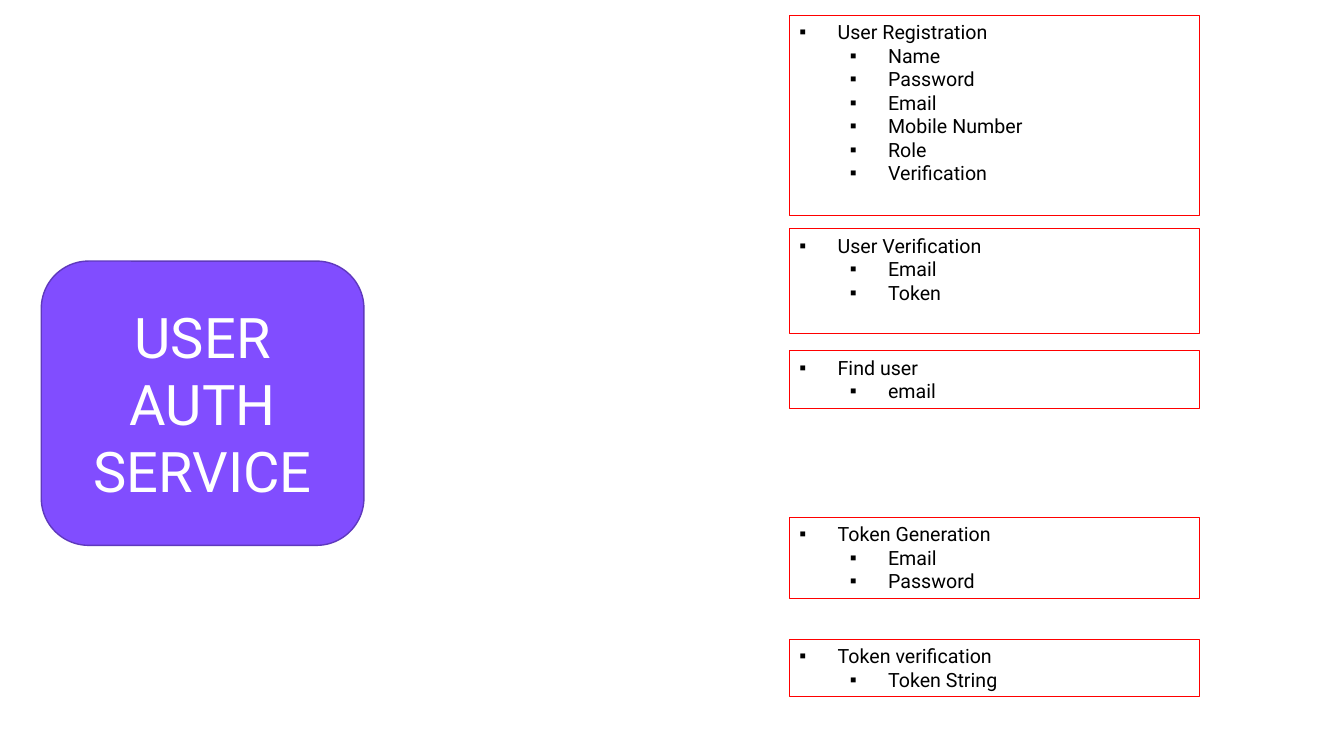
from dataclasses import dataclass

from lxml.etree import SubElement
from pptx import Presentation
from pptx.dml.color import RGBColor
from pptx.enum.shapes import MSO_SHAPE
from pptx.enum.text import MSO_ANCHOR, MSO_AUTO_SIZE, PP_ALIGN
from pptx.oxml.ns import qn
from pptx.util import Inches, Pt

SERVICE = "USER AUTH SERVICE"
OPERATIONS = [
    (0.15, 1.99, "User Registration",
     ["Name", "Password", "Email", "Mobile Number", "Role", "Verification"]),
    (2.27, 1.04, "User Verification", ["Email", "Token"]),
    (3.48, 0.57, "Find user", ["email"]),
    (5.13, 0.81, "Token Generation", ["Email", "Password"]),
    (6.34, 0.57, "Token verification", ["Token String"]),
]
OPERATION_LEFT, OPERATION_WIDTH = 7.83, 4.07
FIRST_INDENT, LEVEL_STEP = 0.38, 0.5


@dataclass(frozen=True)
class Theme:
    font: str = "Roboto"
    service_size: float = 40
    list_size: float = 14
    service_fill: RGBColor = RGBColor(0x81, 0x4D, 0xFF)
    service_line: RGBColor = RGBColor(0x5F, 0x39, 0xBD)
    service_text: RGBColor = RGBColor(0xFF, 0xFF, 0xFF)
    list_line: RGBColor = RGBColor(0xFF, 0x00, 0x00)
    list_text: RGBColor = RGBColor(0x00, 0x00, 0x00)


THEME = Theme()


def add_span(para, text, size, color):
    span = para.add_run()
    span.text = text
    span.font.name = THEME.font
    span.font.size = Pt(size)
    span.font.color.rgb = color


def add_bullet(para, level):
    para.level = level
    properties = para._p.get_or_add_pPr()
    properties.set("marL", str(Inches(FIRST_INDENT + level * LEVEL_STEP)))
    properties.set("indent", str(Inches(-FIRST_INDENT)))
    SubElement(properties, qn("a:buFont"), typeface="Arial")
    SubElement(properties, qn("a:buChar"), char="▪")


def add_box(page, preset, left, top, width, height, line, weight):
    box = page.shapes.add_shape(
        preset, Inches(left), Inches(top), Inches(width), Inches(height))
    box.shadow.inherit = False
    box.line.color.rgb = line
    box.line.width = Pt(weight)
    box.text_frame.word_wrap = True
    box.text_frame.auto_size = MSO_AUTO_SIZE.NONE
    return box


def add_service(page):
    box = add_box(page, MSO_SHAPE.ROUNDED_RECTANGLE, 0.41, 2.59, 3.2, 2.82,
                  THEME.service_line, 1)
    box.fill.solid()
    box.fill.fore_color.rgb = THEME.service_fill
    box.text_frame.vertical_anchor = MSO_ANCHOR.MIDDLE
    para = box.text_frame.paragraphs[0]
    para.alignment = PP_ALIGN.CENTER
    add_span(para, SERVICE, THEME.service_size, THEME.service_text)


def add_operation(page, top, height, name, fields):
    box = add_box(page, MSO_SHAPE.RECTANGLE, OPERATION_LEFT, top,
                  OPERATION_WIDTH, height, THEME.list_line, 0.75)
    box.fill.background()
    frame = box.text_frame
    frame.vertical_anchor = MSO_ANCHOR.TOP
    for index, text in enumerate([name, *fields]):
        para = frame.add_paragraph() if index else frame.paragraphs[0]
        para.alignment = PP_ALIGN.LEFT
        add_bullet(para, min(index, 1))
        add_span(para, text, THEME.list_size, THEME.list_text)


def main():
    deck = Presentation()
    deck.slide_width, deck.slide_height = Inches(13.33), Inches(7.5)
    page = deck.slides.add_slide(deck.slide_layouts[6])
    add_service(page)
    for operation in OPERATIONS:
        add_operation(page, *operation)
    deck.save("out.pptx")


if __name__ == "__main__":
    main()
